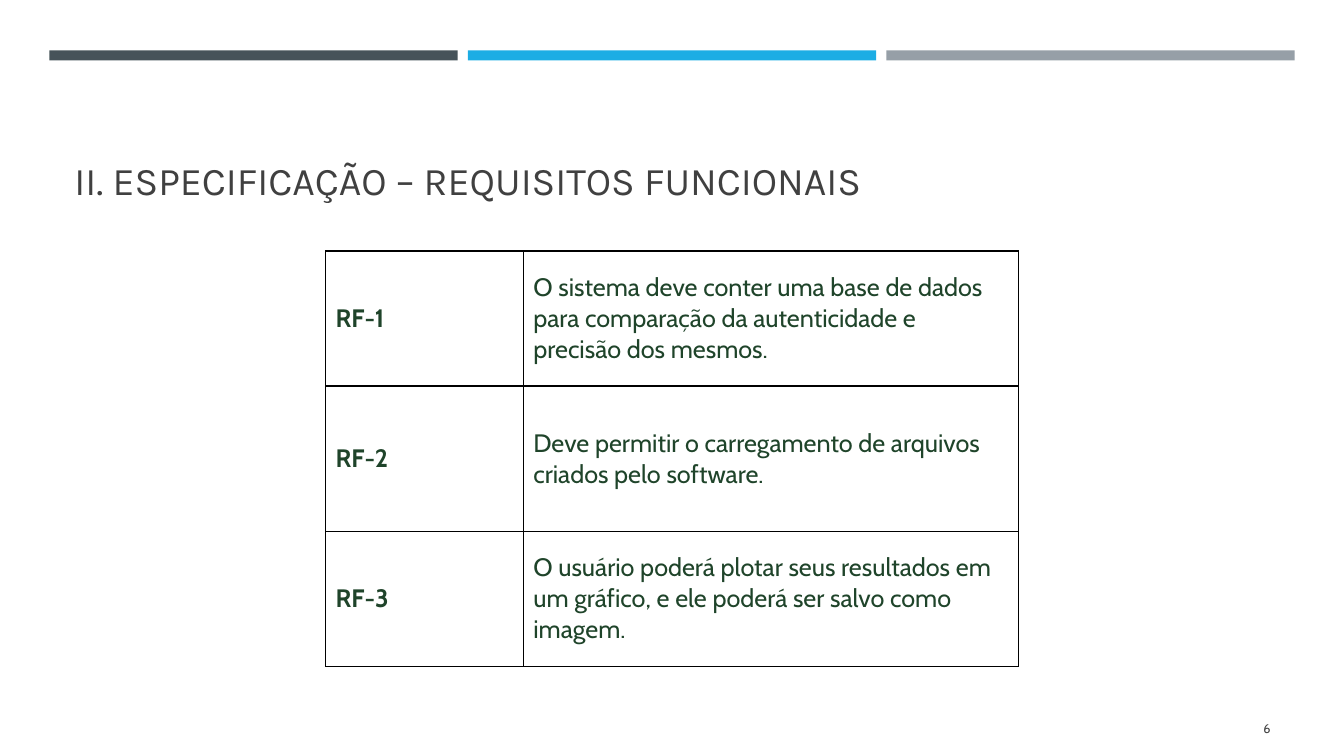
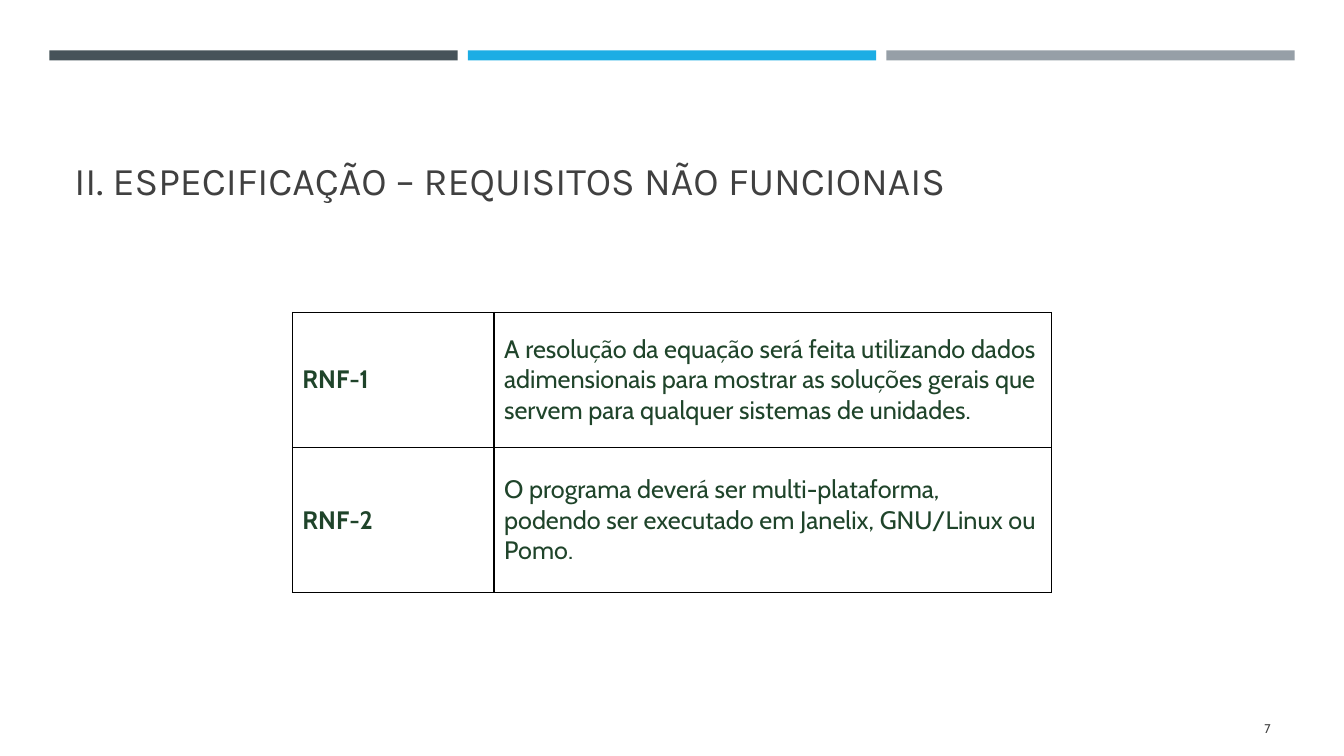
from dataclasses import dataclass

from lxml import etree
from pptx import Presentation
from pptx import util as u
from pptx.dml.color import RGBColor
from pptx.enum import shapes, text
from pptx.oxml import ns


@dataclass(frozen=True)
class Theme:
    bands: tuple = ("465359", "1CADE4", "969FA7")
    heading: str = "404040"
    body: str = "1F442A"
    border: str = "000000"
    heading_font: str = "Karla"
    body_font: str = "Cabin"
    title_size: int = 28
    table_size: int = 18
    number_size: int = 9
    border_width: float = 1


theme = Theme()


def write(frame, words, font=theme.body_font, size=theme.table_size, color=theme.body,
          bold=False, align=text.PP_ALIGN.LEFT):
    """Put one formatted paragraph into a text frame."""
    frame.word_wrap = True
    para = frame.paragraphs[0]
    para.alignment = align
    span = para.add_run()
    span.text = words
    span.font.name = font
    span.font.size = u.Pt(size)
    span.font.bold = bold
    span.font.color.rgb = RGBColor.from_string(color)


def add_borders(cell):
    properties = cell._tc.get_or_add_tcPr()
    for side in ("a:lnL", "a:lnR", "a:lnT", "a:lnB"):
        line = etree.SubElement(properties, ns.qn(side), w=str(u.Pt(theme.border_width)))
        fill = etree.SubElement(line, ns.qn("a:solidFill"))
        etree.SubElement(fill, ns.qn("a:srgbClr"), val=theme.border)


pages = [
    {
        "number": "6",
        "title": "II. ESPECIFICAÇÃO – REQUISITOS FUNCIONAIS",
        "corner": (3.23, 2.49),
        "columns": (1.96, 4.91),
        "rows": [
            (1.34, "RF-1", "O sistema deve conter uma base de dados para comparação da "
                           "autenticidade e precisão dos mesmos."),
            (1.44, "RF-2", "Deve permitir o carregamento de arquivos criados pelo software."),
            (1.34, "RF-3", "O usuário poderá plotar seus resultados em um gráfico, e ele "
                           "poderá ser salvo como imagem."),
        ],
    },
    {
        "number": "7",
        "title": "II. ESPECIFICAÇÃO – REQUISITOS NÃO FUNCIONAIS",
        "corner": (2.9, 3.1),
        "columns": (2, 5.53),
        "rows": [
            (1.34, "RNF-1", "A resolução da equação será feita utilizando dados adimensionais "
                            "para mostrar as soluções gerais que servem para qualquer sistemas "
                            "de unidades."),
            (1.44, "RNF-2", "O programa deverá ser multi-plataforma, podendo ser executado em "
                            "Janelix, GNU/Linux ou Pomo."),
        ],
    },
]

deck = Presentation()
deck.slide_width = u.Inches(13.33)
deck.slide_height = u.Inches(7.5)
blank = deck.slide_layouts[6]

for content in pages:
    page = deck.slides.add_slide(blank)

    for index, color in enumerate(theme.bands):
        band = page.shapes.add_shape(
            shapes.MSO_SHAPE.RECTANGLE, u.Inches(0.49 + index * 4.15), u.Inches(0.5),
            u.Inches(4.05), u.Inches(0.1))
        band.shadow.inherit = False
        band.fill.solid()
        band.fill.fore_color.rgb = RGBColor.from_string(color)
        band.line.fill.background()

    title = page.shapes.add_textbox(
        u.Inches(0.64), u.Inches(0.77), u.Inches(12.06), u.Inches(1.3))
    title.text_frame.vertical_anchor = text.MSO_ANCHOR.BOTTOM
    write(title.text_frame, content["title"], font=theme.heading_font,
          size=theme.title_size, color=theme.heading)

    number = page.shapes.add_textbox(
        u.Inches(11.55), u.Inches(7.03), u.Inches(1.15), u.Inches(0.4))
    number.text_frame.vertical_anchor = text.MSO_ANCHOR.MIDDLE
    write(number.text_frame, content["number"], size=theme.number_size,
          color=theme.heading, align=text.PP_ALIGN.RIGHT)

    left, top = content["corner"]
    columns, rows = content["columns"], content["rows"]
    height = sum(row[0] for row in rows)
    table = page.shapes.add_table(
        len(rows), len(columns), u.Inches(left), u.Inches(top),
        u.Inches(sum(columns)), u.Inches(height)).table
    table.first_row = table.horz_banding = False
    for column, width in zip(table.columns, columns):
        column.width = u.Inches(width)
    for row, (row_height, *entries) in zip(table.rows, rows):
        row.height = u.Inches(row_height)
        for position, (cell, entry) in enumerate(zip(row.cells, entries)):
            add_borders(cell)
            cell.fill.background()
            cell.vertical_anchor = text.MSO_ANCHOR.MIDDLE
            write(cell.text_frame, entry, bold=position == 0)

deck.save("out.pptx")
